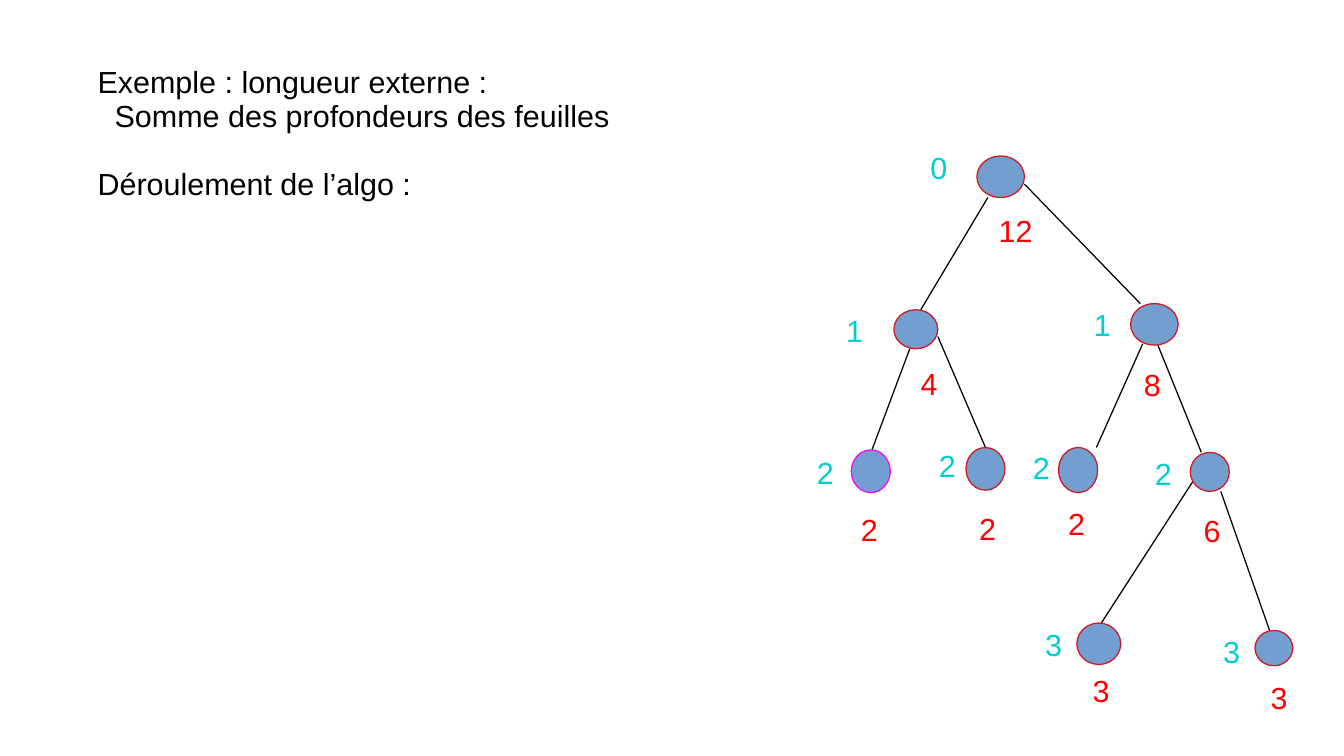
from collections import namedtuple

from lxml import etree
from pptx import Presentation
from pptx.dml.color import RGBColor
from pptx.enum.shapes import MSO_CONNECTOR, MSO_SHAPE
from pptx.enum.text import MSO_ANCHOR, MSO_AUTO_SIZE, PP_ALIGN
from pptx.oxml.ns import qn
from pptx.util import Inches, Pt

STRAIGHT, OVAL = MSO_CONNECTOR.STRAIGHT, MSO_SHAPE.OVAL
TOP, LEFT, NO_FIT = MSO_ANCHOR.TOP, PP_ALIGN.LEFT, MSO_AUTO_SIZE.NONE

BLACK = RGBColor(0x00, 0x00, 0x00)
NODE_BLUE = RGBColor(0x72, 0x9F, 0xCF)
OUTLINE_RED = RGBColor(0xCE, 0x18, 0x1E)
START_MAGENTA = RGBColor(0xFF, 0x00, 0xFF)
DEPTH_CYAN = RGBColor(0x00, 0xCE, 0xD1)
TOTAL_RED = RGBColor(0xFF, 0x00, 0x00)

Box = namedtuple("Box", "left top width height")
Node = namedtuple("Node", "box depth depth_at total total_at outline",
                  defaults=[OUTLINE_RED])

# Places in the tree are inches from its top left corner
NODES = [
    Node(Box(1.41, 0.08, 0.39, 0.34), 0, (0.93, 0), 12, (1.49, 0.52)),
    Node(Box(0.73, 1.34, 0.36, 0.32), 1, (0.24, 1.34), 4, (0.85, 1.77)),
    Node(Box(2.67, 1.29, 0.39, 0.34), 1, (2.27, 1.29), 8, (2.68, 1.78)),
    Node(Box(0.38, 2.49, 0.32, 0.35), 2, (0, 2.5), 2, (0.36, 2.97), START_MAGENTA),
    Node(Box(1.32, 2.47, 0.32, 0.35), 2, (1, 2.44), 2, (1.33, 2.96)),
    Node(Box(2.08, 2.47, 0.32, 0.37), 2, (1.77, 2.46), 2, (2.06, 2.92)),
    Node(Box(3.16, 2.51, 0.32, 0.32), 2, (2.77, 2.51), 6, (3.17, 2.98)),
    Node(Box(2.23, 3.91, 0.36, 0.34), 3, (1.87, 3.91), 3, (2.26, 4.29)),
    Node(Box(3.69, 3.97, 0.31, 0.29), 3, (3.33, 3.97), 3, (3.72, 4.35)),
]
# Each edge runs from parent to child: x1, y1, x2, y2
EDGES = [
    (1.5, 0.42, 0.95, 1.34), (1.8, 0.31, 2.75, 1.29),
    (0.86, 1.66, 0.55, 2.49), (1.09, 1.56, 1.48, 2.47),
    (2.77, 1.62, 2.39, 2.47), (2.89, 1.62, 3.25, 2.51),
    (3.18, 2.75, 2.43, 3.91), (3.41, 2.83, 3.81, 3.97),
]


def write(para, text, color=BLACK, indent=0, before=0):
    properties = para._p.get_or_add_pPr()
    properties.set("marL", str(Inches(indent)))
    properties.set("indent", "0")
    para.alignment = LEFT
    para.line_spacing = 0.93
    para.space_before = Pt(before)
    etree.SubElement(properties, qn("a:buNone"))
    span = para.add_run()
    span.text = text
    span.font.name = "Arial"
    span.font.size = Pt(18)
    span.font.color.rgb = color


def set_frame(frame, left=0.1, top=0.05, right=0.1, bottom=0.05):
    frame.word_wrap = True
    frame.auto_size = NO_FIT
    frame.vertical_anchor = TOP
    frame.margin_left, frame.margin_right = Inches(left), Inches(right)
    frame.margin_top, frame.margin_bottom = Inches(top), Inches(bottom)


def place(shape, box):
    shape.left, shape.top = Inches(box.left), Inches(box.top)
    shape.width, shape.height = Inches(box.width), Inches(box.height)


def add_statement(page, box):
    title_height = 0.35
    title, body = page.shapes.title, page.placeholders[1]

    # Heading
    place(title, box._replace(height=title_height))
    set_frame(title.text_frame, top=0.07, bottom=0)
    write(title.text_frame.paragraphs[0], "Exemple : longueur externe :")

    # Definition and the step that follows
    place(body, box._replace(top=box.top + title_height,
                             height=box.height - title_height))
    set_frame(body.text_frame, top=0)
    write(body.text_frame.paragraphs[0], "Somme des profondeurs des feuilles",
          indent=0.14)
    write(body.text_frame.add_paragraph(), "Déroulement de l’algo :", before=20)


def add_label(page, left, top, number, color):
    label = page.shapes.add_textbox(Inches(left), Inches(top),
                                    Inches(0.48), Inches(0.38))
    set_frame(label.text_frame, right=0)
    write(label.text_frame.paragraphs[0], str(number), color=color)


def add_tree(page, box):
    # Edges
    for x1, y1, x2, y2 in EDGES:
        edge = page.shapes.add_connector(
            STRAIGHT, Inches(box.left + x1), Inches(box.top + y1),
            Inches(box.left + x2), Inches(box.top + y2))
        edge.line.color.rgb = BLACK
        edge.line.width = Pt(0.75)
        etree.SubElement(edge._element.spPr, qn("a:effectLst"))

    # Nodes, each with its depth on the left and its total below
    for node in NODES:
        oval = page.shapes.add_shape(OVAL, 0, 0, 0, 0)
        place(oval, node.box._replace(left=box.left + node.box.left,
                                      top=box.top + node.box.top))
        oval.shadow.inherit = False
        oval.fill.solid()
        oval.fill.fore_color.rgb = NODE_BLUE
        oval.line.color.rgb = node.outline
        oval.line.width = Pt(0.75)
        for number, (x, y), color in (
                (node.depth, node.depth_at, DEPTH_CYAN),
                (node.total, node.total_at, TOTAL_RED)):
            add_label(page, box.left + x, box.top + y, number, color)


def main():
    deck = Presentation()
    deck.slide_width, deck.slide_height = Inches(11.02), Inches(6.2)
    page = deck.slides.add_slide(deck.slide_layouts[1])
    add_statement(page, Box(0.7, 0.47, 5.2, 5.42))
    add_tree(page, Box(6.6, 1.2, 4.2, 4.73))
    deck.save("out.pptx")


if __name__ == "__main__":
    main()
